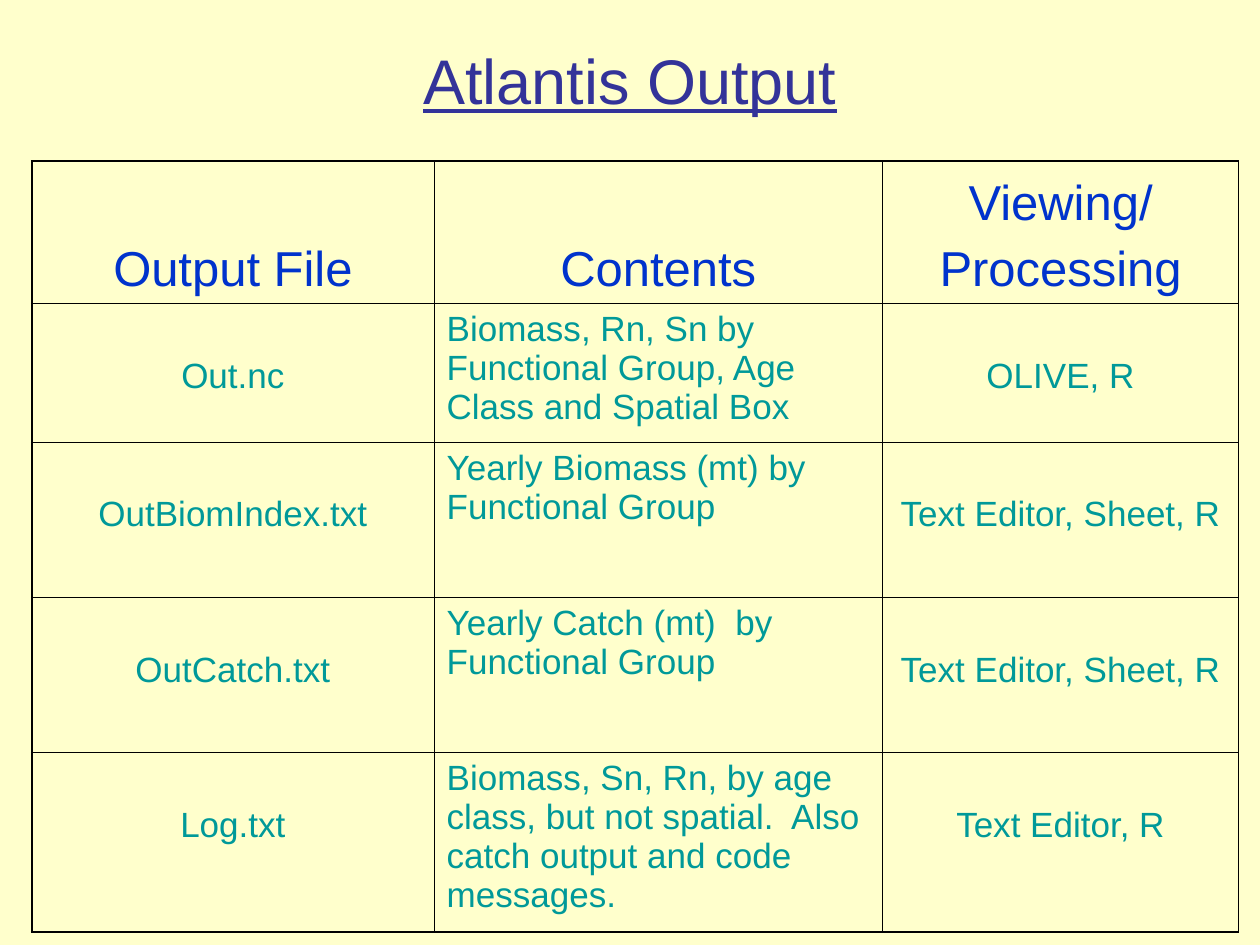
"""Build the Atlantis Output slide: a title above a table of output files."""
from lxml import etree
from pptx import Presentation
from pptx import util as u
from pptx.dml.color import RGBColor
from pptx.enum import text
from pptx.oxml.ns import qn

COLORS = {"back": "FFFFCC", "title": "333399", "head": "0033CC", "body": "009999", "line": "000000"}
HEADERS = [["Output File"], ["Contents"], ["Viewing/", "Processing"]]
FILES = [
    ("Out.nc", "Biomass, Rn, Sn by Functional Group, Age Class and Spatial Box", "OLIVE, R"),
    ("OutBiomIndex.txt", "Yearly Biomass (mt) by Functional Group", "Text Editor, Sheet, R"),
    ("OutCatch.txt", "Yearly Catch (mt)  by Functional Group", "Text Editor, Sheet, R"),
    ("Log.txt", "Biomass, Sn, Rn, by age class, but not spatial.  Also catch output and code messages.",
     "Text Editor, R"),
]
COL_WIDTHS = [8.11, 9.04, 7.18]
ROW_HEIGHTS = [2.87, 2.79, 3.13, 3.13, 3.62]


class Deck:
    """Style and current slide."""

    font = "Arial"
    outer, inner = 1.08, 0.45

    def __init__(self):
        self.prs = Presentation()
        self.prs.slide_width, self.prs.slide_height = u.Cm(25.4), u.Cm(19.05)
        self.s = self.prs.slides.add_slide(self.prs.slide_layouts[5])
        fill = self.s.background.fill
        fill.solid()
        fill.fore_color.rgb = RGBColor.from_string(COLORS["back"])

    def add_lines(self, tf, lines, size, color, align, gap=0):
        """Fill a text frame, one paragraph a line."""
        for i, line in enumerate(lines):
            p = tf.add_paragraph() if i else tf.paragraphs[0]
            p.alignment = align
            p.space_before = u.Pt(gap if i else 0)
            r = p.add_run()
            r.text = line
            r.font.name, r.font.size = self.font, u.Pt(size)
            r.font.color.rgb = RGBColor.from_string(COLORS[color])

    def title(self, words, left, top, width, height):
        """Place and format the title placeholder."""
        sp = self.s.shapes.title
        sp.left, sp.top, sp.width, sp.height = map(u.Cm, (left, top, width, height))
        tf = sp.text_frame
        tf.word_wrap = True
        tf.vertical_anchor = text.MSO_ANCHOR.MIDDLE
        self.add_lines(tf, [words], 36, "title", text.PP_ALIGN.CENTER)
        tf.paragraphs[0].runs[0].font.underline = True

    def borders(self, cell, widths):
        """Draw the left, right, top and bottom borders of a cell."""
        tc_pr = cell._tc.get_or_add_tcPr()
        for i, (side, width) in enumerate(zip("LRTB", widths)):
            ln = etree.Element(qn(f"a:ln{side}"), w=str(int(u.Pt(width))))
            fill = etree.SubElement(ln, qn("a:solidFill"))
            etree.SubElement(fill, qn("a:srgbClr"), val=COLORS["line"])
            tc_pr.insert(i, ln)

    def table(self, left, top, headers, rows, col_widths, row_heights):
        """Add the grid with a heavier outer frame."""
        n_rows, n_cols = len(row_heights), len(col_widths)
        size = u.Cm(sum(col_widths)), u.Cm(sum(row_heights))
        tbl = self.s.shapes.add_table(n_rows, n_cols, u.Cm(left), u.Cm(top), *size).table
        tbl.first_row = tbl.horz_banding = False
        for col, width in zip(tbl.columns, col_widths):
            col.width = u.Cm(width)
        for row, height in zip(tbl.rows, row_heights):
            row.height = u.Cm(height)
        cells = [headers] + [[[words] for words in row] for row in rows]
        for i, row in enumerate(cells):
            for j, lines in enumerate(row):
                cell = tbl.cell(i, j)
                cell.fill.background()
                edges = (j == 0, j == n_cols - 1, i == 0, i == n_rows - 1)
                self.borders(cell, [self.outer if edge else self.inner for edge in edges])
                align = text.PP_ALIGN.LEFT if i and j == 1 else text.PP_ALIGN.CENTER
                if i == 0:
                    cell.vertical_anchor = text.MSO_ANCHOR.BOTTOM
                    self.add_lines(cell.text_frame, lines, 28, "head", align, gap=7)
                else:
                    cell.vertical_anchor = text.MSO_ANCHOR.TOP
                    cell.margin_top = u.Cm(0.13 if j == 1 else 1.07)
                    self.add_lines(cell.text_frame, lines, 20, "body", align)


def main():
    """Build and save the slide."""
    deck = Deck()
    deck.title("Atlantis Output", 1.9, 0, 21.6, 3.18)
    deck.table(0.64, 3.25, HEADERS, FILES, COL_WIDTHS, ROW_HEIGHTS)
    deck.prs.save("out.pptx")


if __name__ == "__main__":
    main()
